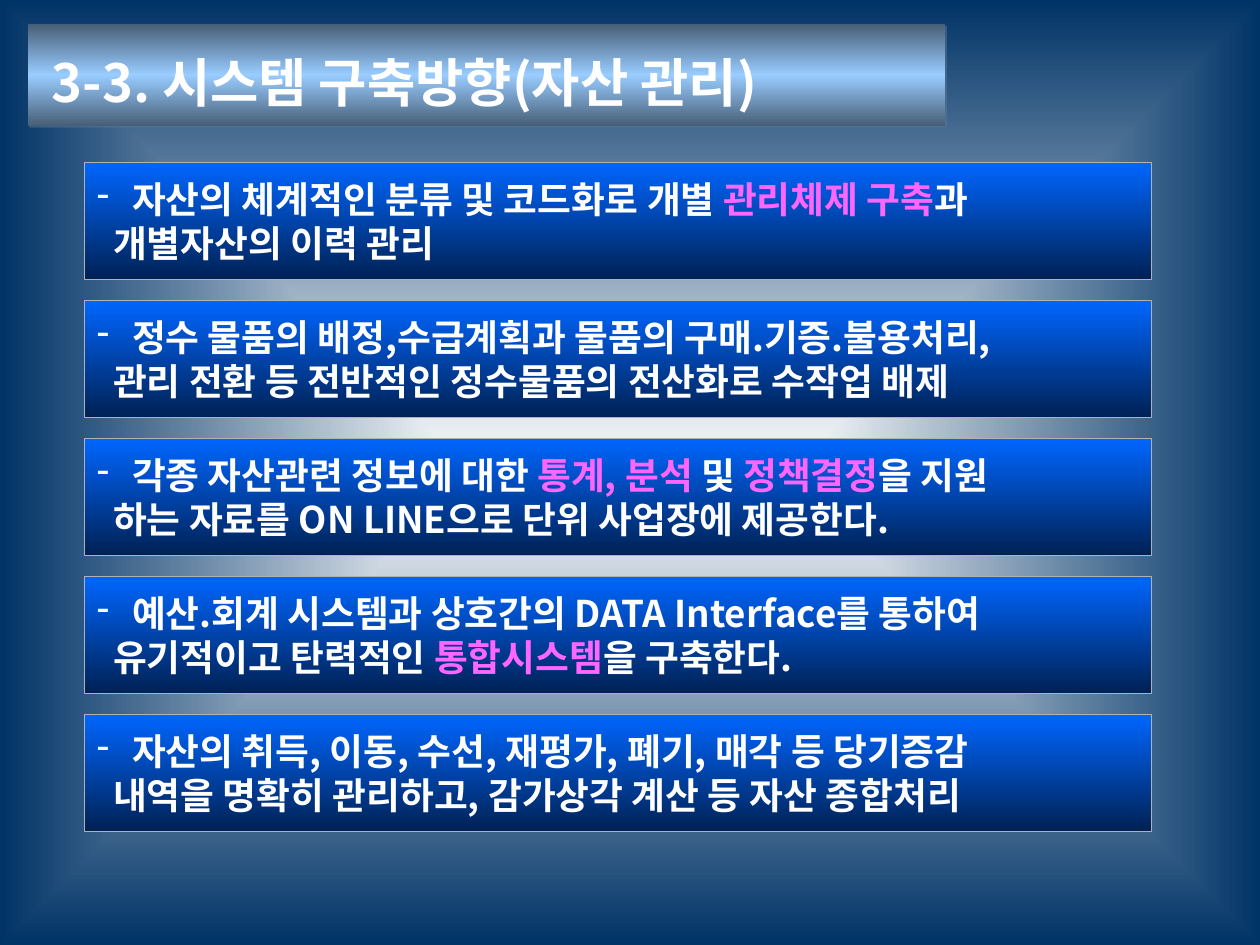
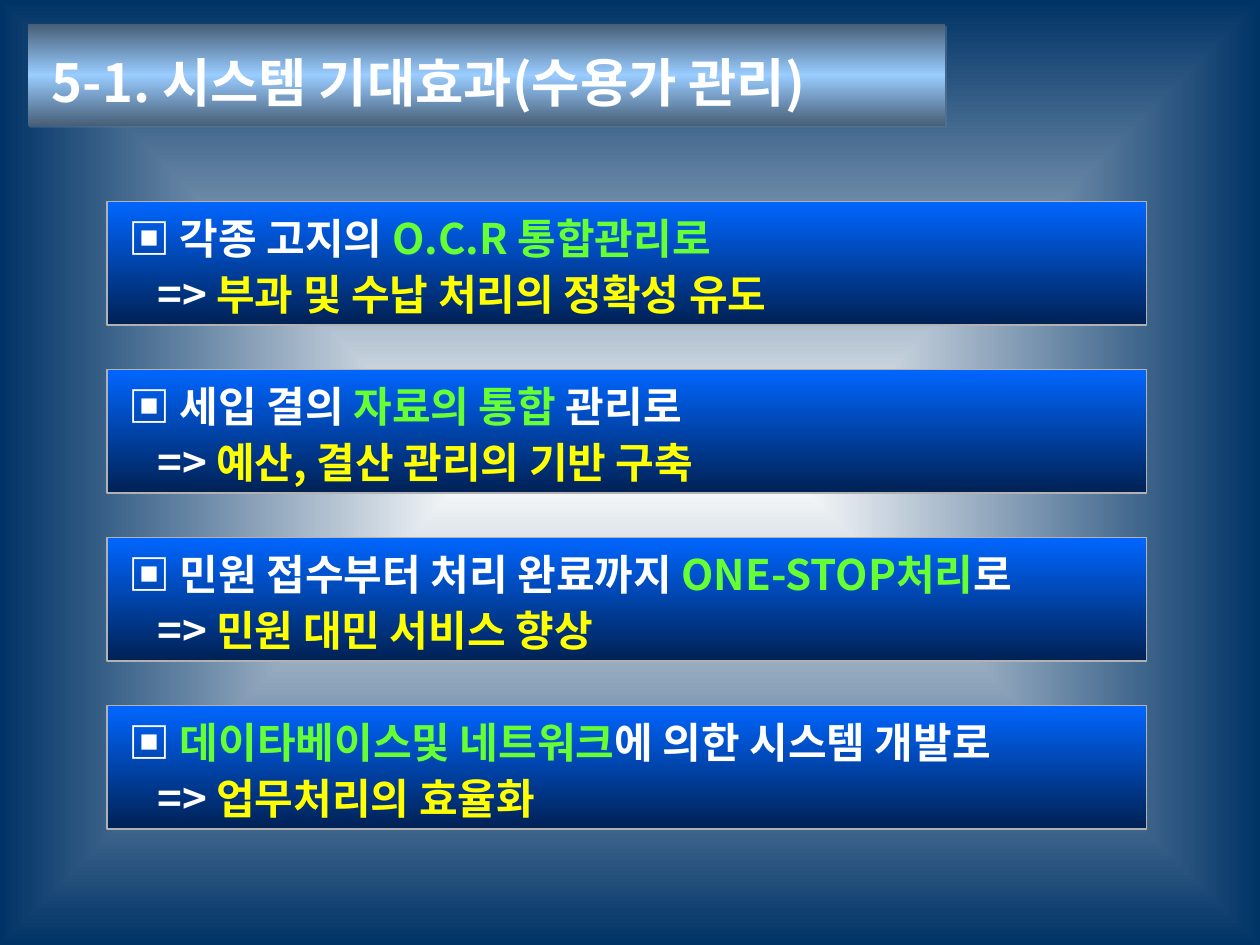
from lxml.etree import SubElement
from pptx import Presentation
from pptx.dml.color import RGBColor
from pptx.enum.shapes import MSO_SHAPE
from pptx.enum.text import MSO_ANCHOR, MSO_AUTO_SIZE, PP_ALIGN
from pptx.oxml.ns import qn
from pptx.util import Inches, Pt

HUES = {
    "white": "FFFFFF", "navy": "003366", "steel": "475E76", "sky": "99CCFF",
    "blue": "0066FF", "deep": "002154", "grey": "B2B2B2", "shade": "5B7998",
    "pink": "FF66FF", "green": "66FF33", "yellow": "FFFF00",
}
FACE = "Noto Sans CJK KR"
FRAME = {"word_wrap": True, "auto_size": MSO_AUTO_SIZE.NONE,
         "vertical_anchor": MSO_ANCHOR.MIDDLE,
         "margin_left": Inches(0.1), "margin_right": Inches(0.1),
         "margin_top": Inches(0.05), "margin_bottom": Inches(0.05)}
TITLE = {"at": (0.22, 0.19, 7.28, 0.81), "size": 30, "space": 1.2, "indent": 0.09}

DECK = [
    {"title": "3-3. 시스템 구축방향(자산 관리)",
     "left": 0.67, "width": 8.47, "height": 0.93, "first": 1.29, "last": 5.67,
     "size": 21, "space": 1.0, "indents": (0.28, 0.13), "bullet": "-",
     "cards": [
         ([("자산의 체계적인 분류 및 코드화로 개별 ", "white"),
           ("관리체제 구축", "pink"), ("과", "white")],
          [("개별자산의 이력 관리", "white")]),
         ([("정수 물품의 배정,수급계획과 물품의 구매.기증.불용처리,", "white")],
          [("관리 전환 등 전반적인 정수물품의 전산화로 수작업 배제", "white")]),
         ([("각종 자산관련 정보에 대한 ", "white"), ("통계, 분석 ", "pink"),
           ("및 ", "white"), ("정책결정", "pink"), ("을 지원", "white")],
          [("하는 자료를 ON LINE으로 단위 사업장에 제공한다.", "white")]),
         ([("예산.회계 시스템과 상호간의 DATA Interface를 통하여", "white")],
          [("유기적이고 탄력적인 ", "white"), ("통합시스템", "pink"),
           ("을 구축한다.", "white")]),
         ([("자산의 취득, 이동, 수선, 재평가, 폐기, 매각 등 당기증감", "white")],
          [("내역을 명확히 관리하고, 감가상각 계산 등 자산 종합처리", "white")]),
     ]},
    {"title": "5-1. 시스템 기대효과(수용가 관리)",
     "left": 0.85, "width": 8.25, "height": 0.98, "first": 1.6, "last": 5.6,
     "size": 24, "space": 1.1, "indents": (0.07, 0.3), "bullet": None,
     "cards": [
         ([("▣ 각종 고지의 ", "white"), ("O.C.R 통합관리로", "green")],
          [("=> ", "white"), ("부과 및 수납 처리의 정확성 유도", "yellow")]),
         ([("▣ 세입 결의 ", "white"), ("자료의 통합", "green"), (" 관리로", "white")],
          [("=> ", "white"), ("예산, 결산 관리의 기반 구축", "yellow")]),
         ([("▣ 민원 접수부터 처리 완료까지 ", "white"),
           ("ONE-STOP처리", "green"), ("로", "white")],
          [("=> ", "white"), ("민원 대민 서비스 향상", "yellow")]),
         ([("▣ ", "white"), ("데이타베이스및 네트워크", "green"),
           ("에 의한 시스템 개발로", "white")],
          [("=> ", "white"), ("업무처리의 효율화", "yellow")]),
     ]},
]


def apply(item, values):
    for name, value in values.items():
        setattr(item, name, value)


def add(parent, tag, **attrs):
    return SubElement(parent, qn(tag), {key: str(val) for key, val in attrs.items()})


def blend(owner, fill, hues, rect=False):
    fill.gradient()
    grad = owner.element.find(".//" + qn("a:gradFill"))
    for child in list(grad):
        grad.remove(child)
    stops = add(grad, "a:gsLst")
    for i, hue in enumerate(hues):
        stop = add(stops, "a:gs", pos=i * 100000 // (len(hues) - 1))
        add(stop, "a:srgbClr", val=HUES[hue])
    if rect:
        add(add(grad, "a:path", path="rect"), "a:fillToRect",
            l=50000, t=50000, r=50000, b=50000)
    else:
        add(grad, "a:lin", ang=5400000, scaled=0)


def write(para, runs, size, space, indent, bullet=None):
    apply(para, {"alignment": PP_ALIGN.LEFT, "line_spacing": space})
    props = para._p.get_or_add_pPr()
    props.set("marL", str(Inches(indent)))
    props.set("indent", str(-Inches(indent) if bullet else 0))
    if bullet:
        add(add(props, "a:buClr"), "a:srgbClr", val=HUES["white"])
        add(props, "a:buChar", char=bullet)
    for text, hue in runs:
        run = para.add_run()
        run.text = text
        apply(run.font, {"name": FACE, "size": Pt(size), "bold": True})
        run.font.color.rgb = RGBColor.from_string(HUES[hue])
        add(run.font._element, "a:ea", typeface=FACE)


def head(slide, text):
    title = slide.shapes.title
    apply(title, dict(zip(("left", "top", "width", "height"), map(Inches, TITLE["at"]))))
    blend(title, title.fill, ("steel", "sky", "steel"))
    title.shadow.inherit = False
    effects = title.element.spPr.find(qn("a:effectLst"))
    shade = add(effects, "a:outerShdw", blurRad=0, dist=Pt(1.4), dir=2700000, algn="ctr")
    add(add(shade, "a:srgbClr", val=HUES["shade"]), "a:alpha", val=50000)
    apply(title.text_frame, FRAME)
    write(title.text_frame.paragraphs[0], [(text, "white")],
          TITLE["size"], TITLE["space"], TITLE["indent"])


def card(slide, page, top, lines):
    box = slide.shapes.add_shape(MSO_SHAPE.RECTANGLE, Inches(page["left"]), Inches(top),
                                 Inches(page["width"]), Inches(page["height"]))
    box.shadow.inherit = False
    blend(box, box.fill, ("blue", "deep"))
    box.line.color.rgb = RGBColor.from_string(HUES["grey"])
    box.line.width = Pt(0.75)
    frame = box.text_frame
    apply(frame, FRAME)
    marks = (page["bullet"], None)
    paras = (frame.paragraphs[0], frame.add_paragraph())
    for para, runs, indent, mark in zip(paras, lines, page["indents"], marks):
        write(para, runs, page["size"], page["space"], indent, mark)


def main():
    deck = Presentation()
    apply(deck, {"slide_width": Inches(10), "slide_height": Inches(7.5)})
    master = deck.slide_master
    blend(master, master.background.fill, ("white", "navy"), rect=True)
    for page in DECK:
        slide = deck.slides.add_slide(deck.slide_layouts[5])
        head(slide, page["title"])
        step = (page["last"] - page["first"]) / (len(page["cards"]) - 1)
        for i, lines in enumerate(page["cards"]):
            card(slide, page, page["first"] + i * step, lines)
    deck.save("out.pptx")


if __name__ == "__main__":
    main()
